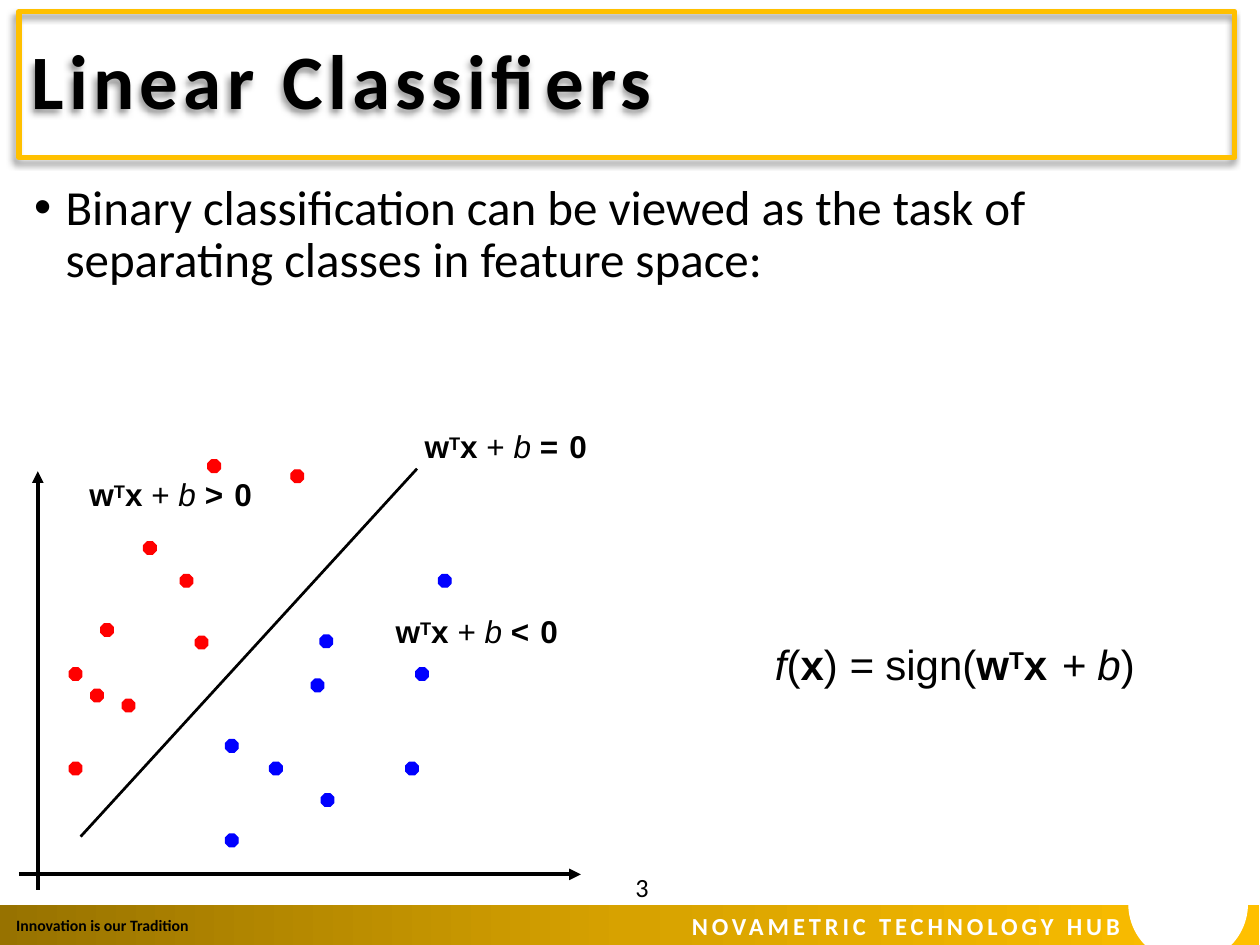
from dataclasses import dataclass

from lxml import etree
from pptx import Presentation
from pptx.dml.color import RGBColor
from pptx.enum.shapes import MSO_CONNECTOR as Connector, MSO_SHAPE as Preset
from pptx.enum.text import MSO_ANCHOR as Anchor, MSO_AUTO_SIZE as AutoSize, PP_ALIGN as Align
from pptx.oxml import parse_xml
from pptx.oxml.ns import nsdecls, qn
from pptx.util import Inches, Pt

BLACK = RGBColor(0, 0, 0)
WHITE = RGBColor(0xFF, 0xFF, 0xFF)
GOLD = RGBColor(0xFF, 0xC0, 0x00)
AMBER = RGBColor(0xD7, 0xA2, 0x00)
BRONZE = RGBColor(0x97, 0x72, 0x00)
RED = RGBColor(0xFF, 0, 0)
BLUE = RGBColor(0, 0, 0xFF)

DOT = 0.1
MATH_STYLES = {
    "plain": {"bold": False, "italic": False},
    "bold": {"bold": True, "italic": False},
    "italic": {"bold": False, "italic": True},
    "super": {"bold": True, "italic": False},
}


@dataclass
class Line:
    start: tuple[float, float]
    end: tuple[float, float]
    width: float
    arrow: bool = False


@dataclass
class Formula:
    left: float
    top: float
    width: float
    height: float
    size: float
    leading: float
    runs: list[tuple[str, str]]


@dataclass
class Caption:
    text: str
    box: tuple[float, float, float, float]
    align: Align
    look: dict
    frame: dict
    spacing: int = 0


def inches(values) -> list:
    return [Inches(value) for value in values]


def apply(target, values: dict) -> None:
    for name, value in values.items():
        setattr(target, name, value)


def add_run(paragraph, text: str, look: dict, color: RGBColor = BLACK, **extra):
    run = paragraph.add_run()
    run.text = text
    apply(run.font, look)
    run.font.color.rgb = color
    for name, value in extra.items():
        run.font._element.set(name, str(value))


def add_line(shapes, line: Line) -> None:
    connector = shapes.add_connector(
        Connector.STRAIGHT, *inches(line.start), *inches(line.end))
    connector.line.color.rgb = BLACK
    connector.line.width = Pt(line.width)
    if line.arrow:
        etree.SubElement(connector.line._get_or_add_ln(), qn("a:tailEnd"), type="triangle")
    etree.SubElement(connector.element.spPr, qn("a:effectLst"))


def add_solid(shapes, preset: Preset, box, color: RGBColor):
    shape = shapes.add_shape(preset, *inches(box))
    shape.shadow.inherit = False
    shape.fill.solid()
    shape.fill.fore_color.rgb = color
    shape.line.color.rgb = color
    shape.line.width = Pt(0.72)
    return shape


def add_formula(shapes, formula: Formula) -> None:
    frame = shapes.add_textbox(
        *inches((formula.left, formula.top, formula.width, formula.height))).text_frame
    apply(frame, {"word_wrap": True, "margin_left": Inches(0.01),
                  "margin_right": 0, "margin_top": 0, "margin_bottom": 0})
    paragraph = frame.paragraphs[0]
    apply(paragraph, {"line_spacing": Pt(formula.leading), "space_before": Pt(1)})
    for text, style in formula.runs:
        extra = {"baseline": 24000} if style == "super" else {}
        look = {"name": "Arial", "size": Pt(formula.size), **MATH_STYLES[style]}
        add_run(paragraph, text, look, **extra)


def add_caption(shapes, caption: Caption, color: RGBColor) -> None:
    frame = shapes.add_textbox(*inches(caption.box)).text_frame
    apply(frame, caption.frame)
    paragraph = frame.paragraphs[0]
    paragraph.alignment = caption.align
    add_run(paragraph, caption.text, {"name": "Calibri", **caption.look}, color,
            spc=caption.spacing)


deck = Presentation()
deck.slide_width, deck.slide_height = inches((10, 7.5))
slide = deck.slides.add_slide(deck.slide_layouts[1])
shapes = slide.shapes
title, body = shapes.title, slide.placeholders[1]

# Title in a gold frame whose shadow also falls from the letters
apply(title, dict(zip(("left", "top", "width", "height"), inches((0.15, 0.09, 9.65, 1.16)))))
title.fill.background()
title.line.color.rgb = GOLD
title.line.width = Pt(3)
title.element.spPr.append(parse_xml(
    f'<a:effectLst {nsdecls("a")}><a:outerShdw blurRad="{Pt(4)}" dist="{Pt(3)}" '
    'dir="8100000" algn="tr" rotWithShape="0"><a:srgbClr val="000000">'
    '<a:alpha val="40000"/></a:srgbClr></a:outerShdw></a:effectLst>'))
apply(title.text_frame, {"vertical_anchor": Anchor.MIDDLE, "auto_size": AutoSize.NONE,
                         "word_wrap": True})
heading = title.text_frame.paragraphs[0]
apply(heading, {"alignment": Align.LEFT, "line_spacing": 0.9})
add_run(heading, "Linear Classifiers",
        {"name": "Calibri", "size": Pt(44), "bold": True}, spc=300)

# Bulleted statement
apply(body, dict(zip(("left", "top", "width", "height"), inches((0.17, 1.4, 9.62, 5.4)))))
apply(body.text_frame, {"auto_size": AutoSize.NONE, "word_wrap": True})
statement = body.text_frame.paragraphs[0]
apply(statement, {"line_spacing": 0.9, "space_before": Pt(10)})
indent = statement._p.get_or_add_pPr()
indent.set("marL", str(Inches(0.25)))
indent.set("indent", str(-Inches(0.25)))
add_run(statement, "Binary classification can be viewed as the task of "
        "separating classes in feature space:", {"name": "Calibri", "size": Pt(28)})

# Footer band
band = add_solid(shapes, Preset.RECTANGLE, (-0.02, 7.18, 10.02, 0.33), AMBER)
band.line.color.rgb = WHITE
band.line.width = Pt(1)
band.fill.gradient()
band.fill.gradient_angle = 0
stops = band.element.spPr.find(qn("a:gradFill")).find(qn("a:gsLst"))
for stop in list(stops):
    stops.remove(stop)
for position, color in ((0, BRONZE), (50, AMBER), (100, GOLD)):
    stop = etree.SubElement(stops, qn("a:gs"), pos=str(position * 1000))
    etree.SubElement(stop, qn("a:srgbClr"), val=str(color))

add_caption(shapes, Caption("NOVAMETRIC TECHNOLOGY HUB", (1.93, 7.18, 7.06, 0.34), Align.RIGHT,
                            {"size": Pt(14), "bold": True}, {"word_wrap": True}, 220), WHITE)
add_caption(shapes, Caption("Innovation is our Tradition", (0.03, 7.22, 1.61, 0.25), Align.LEFT,
                            {"size": Pt(9), "bold": True}, {"word_wrap": False}), BLACK)
add_caption(shapes, Caption("3", (3.97, 6.84, 2.25, 0.4), Align.CENTER, {"size": Pt(15)},
                            {"word_wrap": True, "vertical_anchor": Anchor.MIDDLE}), BLACK)
add_solid(shapes, Preset.OVAL, (8.96, 6.71, 0.94, 0.93), WHITE)

# Axes and separating line
for line in (
    Line((0.3, 7.06), (0.3, 3.74), 2.2, arrow=True),
    Line((0.15, 6.94), (4.61, 6.94), 2.2, arrow=True),
    Line((0.64, 6.64), (3.31, 3.72), 1.56),
):
    add_line(shapes, line)

# The two classes of points, by top left corner
CLASSES = {
    RED: [(1.43, 4.56), (0.8, 4.95), (0.97, 5.55), (0.55, 6.05), (1.14, 4.3), (0.55, 5.3),
          (0.72, 5.47), (1.55, 5.05), (1.65, 3.65), (2.31, 3.73)],
    BLUE: [(2.54, 5.04), (2.14, 6.05), (3.22, 6.05), (1.79, 6.62), (2.47, 5.39),
           (1.79, 5.87), (2.55, 6.3), (3.3, 5.3), (3.48, 4.56)],
}
for color, points in CLASSES.items():
    for left, top in points:
        add_solid(shapes, Preset.OCTAGON, (left, top, DOT, DOT), color)

# Region labels
WEIGHTED = [("w", "bold"), ("T", "super")]
for sign, left, top in (("=", 3.36, 3.41), (">", 0.7, 3.79), ("<", 3.13, 4.88)):
    add_formula(shapes, Formula(left, top, 1.14, 0.29, 18, 19.9, [
        *WEIGHTED, ("x ", "bold"), ("+ ", "plain"), ("b ", "italic"), (sign, "bold")]))
    add_formula(shapes, Formula(left + 1.15, top + 0.01, 0.2, 0.28, 18, 19.4, [("0", "bold")]))

# Decision function
for left, top, width, leading, runs in (
    (6.14, 5.11, 0.58, 25.6, [("f", "italic"), ("(", "plain"), ("x", "bold"), (")", "plain")]),
    (6.73, 5.1, 1.67, 26.2, [("= ", "italic"), ("sign(", "plain"), *WEIGHTED, ("x", "bold")]),
    (8.42, 5.11, 0.27, 25.6, [("+", "plain")]),
    (8.7, 5.11, 0.37, 25.6, [("b", "italic"), (")", "plain")]),
):
    add_formula(shapes, Formula(left, top, width, 0.36, 24, leading, runs))

deck.save("out.pptx")
